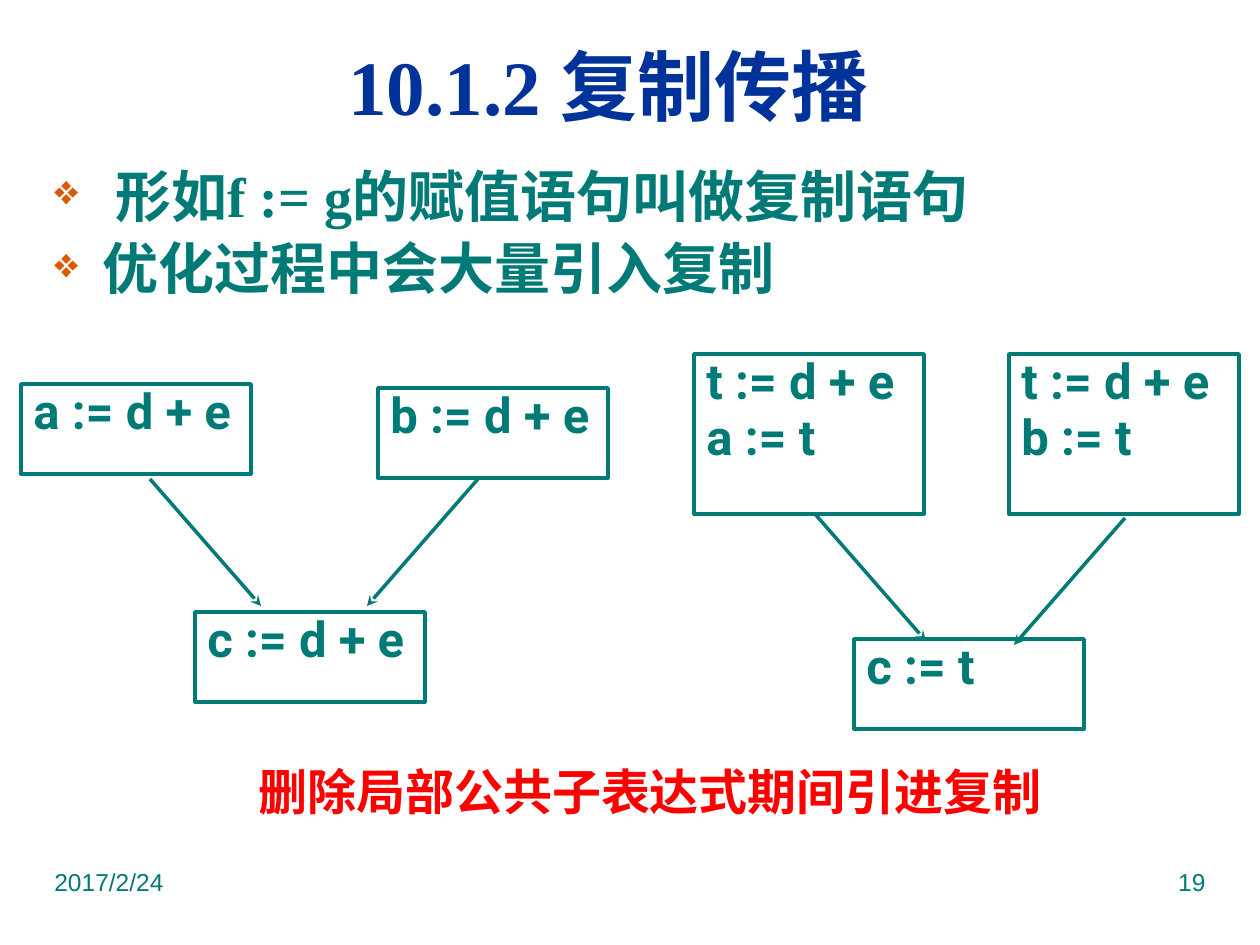
from dataclasses import dataclass

from lxml import etree
from pptx import Presentation
from pptx.dml.color import RGBColor
from pptx.enum.shapes import MSO_CONNECTOR, MSO_SHAPE
from pptx.enum.text import MSO_ANCHOR, PP_ALIGN
from pptx.oxml.ns import qn
from pptx.util import Emu, Pt

LEFT, CENTER, RIGHT, JUSTIFY = PP_ALIGN.LEFT, PP_ALIGN.CENTER, PP_ALIGN.RIGHT, PP_ALIGN.JUSTIFY
TOP, MIDDLE = MSO_ANCHOR.TOP, MSO_ANCHOR.MIDDLE
RECTANGLE, STRAIGHT = MSO_SHAPE.RECTANGLE, MSO_CONNECTOR.STRAIGHT

EMU_PER_INCH, PX_PER_INCH = 914400, 126
TEAL, NAVY, ORANGE, RED = "007A77", "003399", "DC5900", "FF0000"
SERIF, SANS, CODE = "Times New Roman", "Arial", "Roboto"
LINE_WIDTH = Pt(2)
BULLET_INDENT = 48
BLOCK_WIDTH, LOW, HIGH = 230, 90, 160
ARROW_DX, ARROW_DY = 111, 127


@dataclass(frozen=True)
class Caption:
    x: int
    y: int
    width: int
    height: int
    lines: tuple[str, ...]
    size: int
    font: str
    color: str = TEAL
    bold: bool = True
    align: PP_ALIGN = LEFT
    anchor: MSO_ANCHOR = TOP
    bulleted: bool = False


@dataclass(frozen=True)
class Block:
    """A basic block of the flow graph with its statements."""
    x: int
    y: int
    height: int
    statements: tuple[str, ...]


@dataclass(frozen=True)
class Flow:
    """An arrow between blocks; direction is 1 to the right, -1 to the left."""
    x: int
    y: int
    direction: int


CAPTIONS = (
    Caption(42, 861, 315, 66, ("2017/2/24",), 14, SANS, bold=False),
    Caption(903, 861, 315, 66, ("19",), 14, SANS, bold=False, align=RIGHT),
    Caption(151, 6, 915, 158, ("10.1.2 复制传播",), 44, SERIF, NAVY,
            align=CENTER, anchor=MIDDLE),
    Caption(42, 155, 1187, 704,
            (" 形如f := g的赋值语句叫做复制语句", "优化过程中会大量引入复制"),
            32, SERIF, bulleted=True),
    Caption(222, 755, 845, 82, (" 删除局部公共子表达式期间引进复制",), 28, CODE, RED,
            align=CENTER),
)

BLOCKS = (
    Block(21, 384, LOW, ("a := d + e",)),
    Block(378, 388, LOW, ("b := d + e",)),
    Block(195, 612, LOW, ("c := d + e",)),
    Block(694, 354, HIGH, ("t := d + e", "a := t")),
    Block(1009, 354, HIGH, ("t := d + e", "b := t")),
    Block(854, 639, LOW, ("c := t",)),
)

FLOWS = (
    Flow(150, 479, 1),
    Flow(478, 479, -1),
    Flow(815, 514, 1),
    Flow(1125, 518, -1),
)


def px(length: int) -> Emu:
    return Emu(round(length * EMU_PER_INCH / PX_PER_INCH))


def rgb(color: str) -> RGBColor:
    return RGBColor.from_string(color)


def add_bullet(paragraph) -> None:
    properties = paragraph._p.get_or_add_pPr()
    properties.set("marL", str(px(BULLET_INDENT)))
    properties.set("indent", str(-px(BULLET_INDENT)))
    bullet_color = etree.SubElement(properties, qn("a:buClr"))
    etree.SubElement(bullet_color, qn("a:srgbClr"), val=ORANGE)
    etree.SubElement(properties, qn("a:buSzPct"), val="75000")
    etree.SubElement(properties, qn("a:buChar"), char="❖")


def write_lines(frame, lines: tuple[str, ...], size: int, font: str, color: str, bold: bool,
                align: PP_ALIGN, bulleted: bool = False) -> None:
    frame.word_wrap = True
    for index, line in enumerate(lines):
        paragraph = frame.paragraphs[0] if index == 0 else frame.add_paragraph()
        paragraph.text = line
        paragraph.alignment = align
        if bulleted:
            add_bullet(paragraph)
            if index:
                paragraph.space_before = Pt(3)
        paragraph.font.size = Pt(size)
        paragraph.font.name = font
        paragraph.font.bold = bold
        paragraph.font.color.rgb = rgb(color)


def add_caption(slide, caption: Caption) -> None:
    box = slide.shapes.add_textbox(px(caption.x), px(caption.y),
                                   px(caption.width), px(caption.height))
    box.text_frame.vertical_anchor = caption.anchor
    write_lines(box.text_frame, caption.lines, caption.size, caption.font, caption.color,
                caption.bold, caption.align, caption.bulleted)


def add_block(slide, block: Block) -> None:
    box = slide.shapes.add_shape(RECTANGLE, px(block.x), px(block.y),
                                 px(BLOCK_WIDTH), px(block.height))
    box.shadow.inherit = False
    box.fill.background()
    box.line.color.rgb = rgb(TEAL)
    box.line.width = LINE_WIDTH
    frame = box.text_frame
    frame.vertical_anchor = TOP
    frame.margin_top = frame.margin_bottom = 0
    write_lines(frame, block.statements, 28, CODE, TEAL, True, JUSTIFY)
    for paragraph in frame.paragraphs:
        paragraph.line_spacing = 0.96


def add_flow(slide, flow: Flow) -> None:
    arrow = slide.shapes.add_connector(STRAIGHT, px(flow.x), px(flow.y),
                                       px(flow.x + flow.direction * ARROW_DX),
                                       px(flow.y + ARROW_DY))
    arrow.line.color.rgb = rgb(TEAL)
    arrow.line.width = LINE_WIDTH
    etree.SubElement(arrow.line._get_or_add_ln(), qn("a:tailEnd"), type="stealth")
    etree.SubElement(arrow._element.spPr, qn("a:effectLst"))


def main() -> None:
    presentation = Presentation()
    presentation.slide_width, presentation.slide_height = px(1260), px(945)
    slide = presentation.slides.add_slide(presentation.slide_layouts[6])
    for caption in CAPTIONS:
        add_caption(slide, caption)
    for block in BLOCKS:
        add_block(slide, block)
    for flow in FLOWS:
        add_flow(slide, flow)
    presentation.save("out.pptx")


if __name__ == "__main__":
    main()
